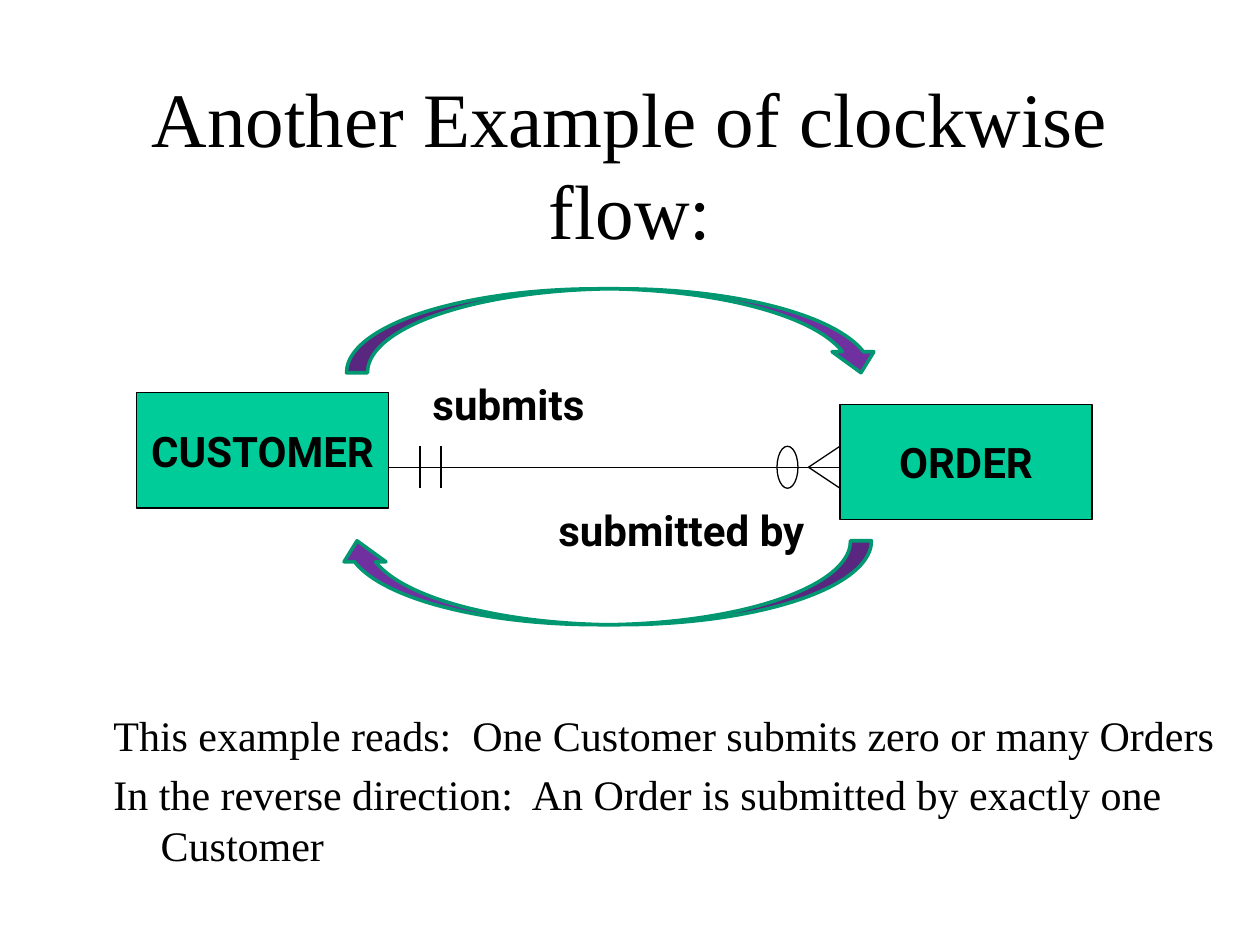
from lxml import etree
from pptx import Presentation
from pptx.dml.color import RGBColor
from pptx.enum.shapes import MSO_CONNECTOR, MSO_SHAPE
from pptx.enum.text import MSO_ANCHOR, MSO_AUTO_SIZE, PP_ALIGN
from pptx.oxml.ns import qn
from pptx.util import Emu, Pt

BLACK = RGBColor(0x00, 0x00, 0x00)
WHITE = RGBColor(0xFF, 0xFF, 0xFF)
GREEN = RGBColor(0x00, 0xCC, 0x99)
DARK_GREEN = RGBColor(0x00, 0x97, 0x71)
PURPLE = RGBColor(0x70, 0x30, 0xA0)

STRAIGHT = MSO_CONNECTOR.STRAIGHT
RECTANGLE = MSO_SHAPE.RECTANGLE
ELLIPSE = MSO_SHAPE.OVAL
CURVED_ARROW = MSO_SHAPE.CURVED_DOWN_ARROW
MIDDLE = MSO_ANCHOR.MIDDLE
TOP = MSO_ANCHOR.TOP
CENTER = PP_ALIGN.CENTER
LEFT = PP_ALIGN.LEFT
NO_FIT = MSO_AUTO_SIZE.NONE
GROW = MSO_AUTO_SIZE.SHAPE_TO_FIT_TEXT

EMU_PER_PX = 7620
SERIF = "Times New Roman"
SANS = "Roboto"


def px(length):
    return Emu(length * EMU_PER_PX)


class DiagramSlide:
    def __init__(self, deck):
        self.page = deck.slides.add_slide(deck.slide_layouts[1])
        self.page.background.fill.solid()
        self.page.background.fill.fore_color.rgb = WHITE
        self.shapes = self.page.shapes

    def add_text(self, para, text, font, size, bold, align):
        para.alignment = align
        span = para.add_run()
        span.text = text
        span.font.name = font
        span.font.size = Pt(size)
        span.font.bold = bold
        span.font.color.rgb = BLACK

    def place(self, holder, left, top, width, height):
        holder.left, holder.top = px(left), px(top)
        holder.width, holder.height = px(width), px(height)
        frame = holder.text_frame
        frame.auto_size = NO_FIT
        frame.word_wrap = True
        return frame

    def title(self, text, *area):
        frame = self.place(self.shapes.title, *area)
        frame.vertical_anchor = MIDDLE
        self.add_text(frame.paragraphs[0], text, SERIF, 44, False, CENTER)

    def body(self, lines, *area):
        frame = self.place(self.page.placeholders[1], *area)
        frame.vertical_anchor = TOP
        for index, text in enumerate(lines):
            para = frame.add_paragraph() if index else frame.paragraphs[0]
            para.space_before = Pt(4.8)
            self.add_text(para, text, SERIF, 24, False, LEFT)
            properties = para._p.get_or_add_pPr()
            properties.set("marL", str(px(45)))
            properties.set("indent", str(px(-45)))
            etree.SubElement(properties, qn("a:buNone"))

    def shape(self, kind, area, fill=None, line=BLACK, weight=0.75):
        box = self.shapes.add_shape(kind, *map(px, area))
        box.shadow.inherit = False
        if fill is None:
            box.fill.background()
        else:
            box.fill.solid()
            box.fill.fore_color.rgb = fill
        box.line.color.rgb = line
        box.line.width = Pt(weight)
        return box

    def entity(self, name, *area):
        frame = self.shape(RECTANGLE, area, GREEN).text_frame
        frame.word_wrap = False
        frame.vertical_anchor = MIDDLE
        self.add_text(frame.paragraphs[0], name, SANS, 24, True, CENTER)

    def flow_arrow(self, *area, rotation=0):
        arrow = self.shape(CURVED_ARROW, area, PURPLE, DARK_GREEN, 2)
        arrow.rotation = rotation

    def label(self, text, *area):
        frame = self.shapes.add_textbox(*map(px, area)).text_frame
        frame.word_wrap = False
        frame.auto_size = GROW
        self.add_text(frame.paragraphs[0], text, SANS, 24, True, LEFT)

    def line(self, *ends):
        connector = self.shapes.add_connector(STRAIGHT, *map(px, ends))
        connector.line.color.rgb = BLACK
        connector.line.width = Pt(0.75)
        etree.SubElement(connector._element.spPr, qn("a:effectLst"))


def main():
    deck = Presentation()
    deck.slide_width, deck.slide_height = px(1200), px(900)
    slide = DiagramSlide(deck)
    slide.title("Another Example of clockwise flow:", 90, 80, 1020, 150)
    slide.body(
        [
            "This example reads:  One Customer submits zero or many Orders",
            "In the reverse direction:  An Order is submitted by exactly one Customer",
        ],
        96, 670, 1100, 190,
    )

    slide.entity("CUSTOMER", 130, 374, 240, 110)
    slide.entity("ORDER", 800, 385, 240, 110)

    axis, reach = 445, 20
    slide.line(370, axis, 660, axis)
    for offset in (-reach, reach):
        slide.line(770, axis, 800, axis + offset)
    slide.shape(ELLIPSE, (740, axis - reach, 20, 2 * reach))
    for tick in (400, 420):
        slide.line(tick, axis - reach, tick, axis + reach)
    slide.label("submits", 400, 355, 188, 60)
    slide.label("submitted by", 520, 475, 293, 60)
    slide.line(660, axis, 800, axis)

    slide.flow_arrow(330, 275, 510, 80)
    slide.flow_arrow(320, 515, 510, 80, rotation=180)
    deck.save("out.pptx")


if __name__ == "__main__":
    main()
